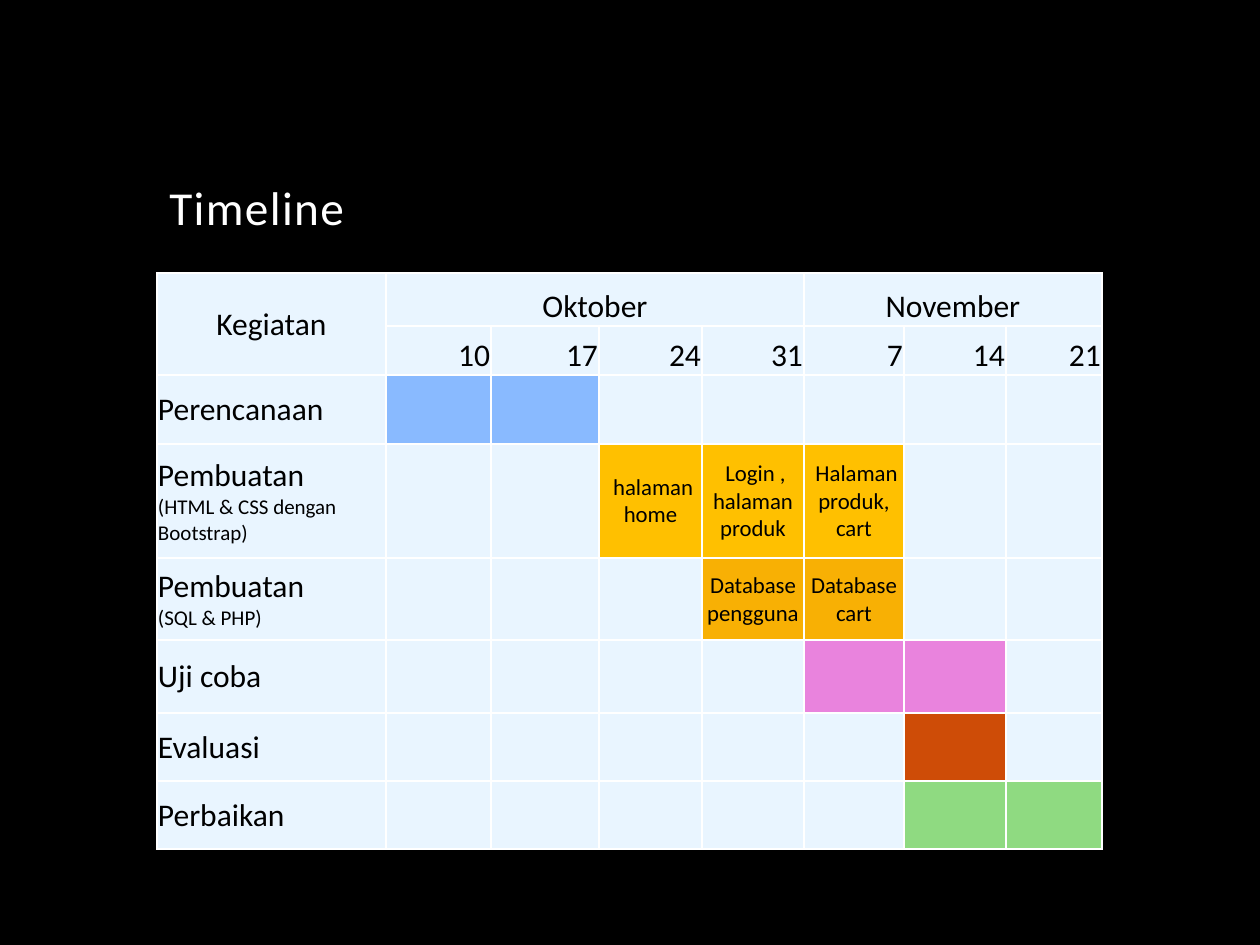
from pptx import Presentation
from pptx.dml.color import RGBColor
from pptx.enum.text import MSO_ANCHOR as Anchor, PP_ALIGN as Align
from pptx.oxml import parse_xml
from pptx.oxml.ns import nsdecls
from pptx.util import Pt

SCALE = 914400 / 126  # EMU per px
FONT = "Calibri"
BLACK, WHITE, PALE = "000000", "FFFFFF", "E9F5FF"
BLUE, YELLOW, AMBER = "89BAFF", "FFC000", "F8B004"
PINK, RUST, GREEN = "E983DD", "CE4C07", "8FDA81"

COLUMNS = [229, 105, 108, 103, 102, 100, 102, 96]
ROWS = [53, 49, 69, 114, 82, 73, 68, 68]
DATES = ["10", "17", "24", "31", "7", "14", "21"]

# Activity, its note, and its weeks as {column: (colour, text)}
ACTIVITIES = [
    ("Perencanaan", "", {1: (BLUE, ""), 2: (BLUE, "")}),
    ("Pembuatan", "(HTML & CSS dengan Bootstrap)", {
        3: (YELLOW, " halaman home"),
        4: (YELLOW, " Login , halaman produk"),
        5: (YELLOW, " Halaman produk, cart")}),
    ("Pembuatan", "(SQL & PHP)", {
        4: (AMBER, "Database pengguna"), 5: (AMBER, "Database cart")}),
    ("Uji coba", "", {5: (PINK, ""), 6: (PINK, "")}),
    ("Evaluasi", "", {6: (RUST, "")}),
    ("Perbaikan", "", {6: (GREEN, ""), 7: (GREEN, "")}),
]


def px(length):
    return round(length * SCALE)


def color(value):
    return RGBColor.from_string(value)


def add_span(para, text, size, fill):
    span = para.add_run()
    span.text = text
    span.font.name, span.font.size = FONT, Pt(size)
    span.font.color.rgb = color(fill)
    return span


def add_title(page, text):
    box = page.shapes.add_textbox(px(157), px(53), px(945), px(189))
    frame = box.text_frame
    frame.word_wrap = True
    frame.vertical_anchor = Anchor.BOTTOM
    para = frame.paragraphs[0]
    para.line_spacing = 0.9
    span = add_span(para, text, 27, WHITE)
    span.font._element.set("spc", "80")


def style_cell(cell, fill):
    cell.fill.solid()
    cell.fill.fore_color.rgb = color(fill)
    cell.margin_left = cell.margin_right = cell.margin_top = px(1)
    cell.margin_bottom = 0
    # Borders come before the fill in the cell properties
    properties = cell._tc.get_or_add_tcPr()
    for index, side in enumerate(("lnL", "lnR", "lnT", "lnB")):
        properties.insert(index, parse_xml(
            f'<a:{side} {nsdecls("a")} w="12700"><a:solidFill>'
            f'<a:srgbClr val="{WHITE}"/></a:solidFill></a:{side}>'))


def write_cell(cell, lines, align=Align.LEFT, anchor=Anchor.MIDDLE):
    """Write (text, size) lines as paragraphs."""
    cell.vertical_anchor = anchor
    frame = cell.text_frame
    for index, (text, size) in enumerate(lines):
        para = frame.add_paragraph() if index else frame.paragraphs[0]
        para.alignment = align
        add_span(para, text, size, BLACK)


def add_header(table):
    table.cell(0, 0).merge(table.cell(1, 0))
    write_cell(table.cell(0, 0), [("Kegiatan", 18)], Align.CENTER)
    for month, first, last in (("Oktober", 1, 4), ("November", 5, 7)):
        table.cell(0, first).merge(table.cell(0, last))
        write_cell(table.cell(0, first), [(month, 18)], Align.CENTER, Anchor.BOTTOM)
    for column, date in enumerate(DATES, 1):
        write_cell(table.cell(1, column), [(date, 18)], Align.RIGHT, Anchor.BOTTOM)


def add_timeline(page):
    table = page.shapes.add_table(
        len(ROWS), len(COLUMNS), px(157), px(273),
        px(sum(COLUMNS)), px(sum(ROWS))).table
    table.first_row = table.horz_banding = False
    for column, width in zip(table.columns, COLUMNS):
        column.width = px(width)
    for row, height in zip(table.rows, ROWS):
        row.height = px(height)

    # Fills, with the weeks of each activity coloured
    for row in range(len(ROWS)):
        weeks = ACTIVITIES[row - 2][2] if row > 1 else {}
        for column in range(len(COLUMNS)):
            style_cell(table.cell(row, column), weeks.get(column, (PALE, ""))[0])

    # Words
    add_header(table)
    for row, (name, note, weeks) in enumerate(ACTIVITIES, 2):
        lines = [(name, 18)] + ([(note, 12)] if note else [])
        write_cell(table.cell(row, 0), lines)
        for column, (_, task) in weeks.items():
            if task:
                write_cell(table.cell(row, column), [(task, 13)], Align.CENTER)


def main():
    deck = Presentation()
    deck.slide_width, deck.slide_height = px(1260), px(945)
    page = deck.slides.add_slide(deck.slide_layouts[6])
    page.background.fill.solid()
    page.background.fill.fore_color.rgb = color(BLACK)
    add_title(page, "Timeline")
    add_timeline(page)
    deck.save("out.pptx")


if __name__ == "__main__":
    main()
